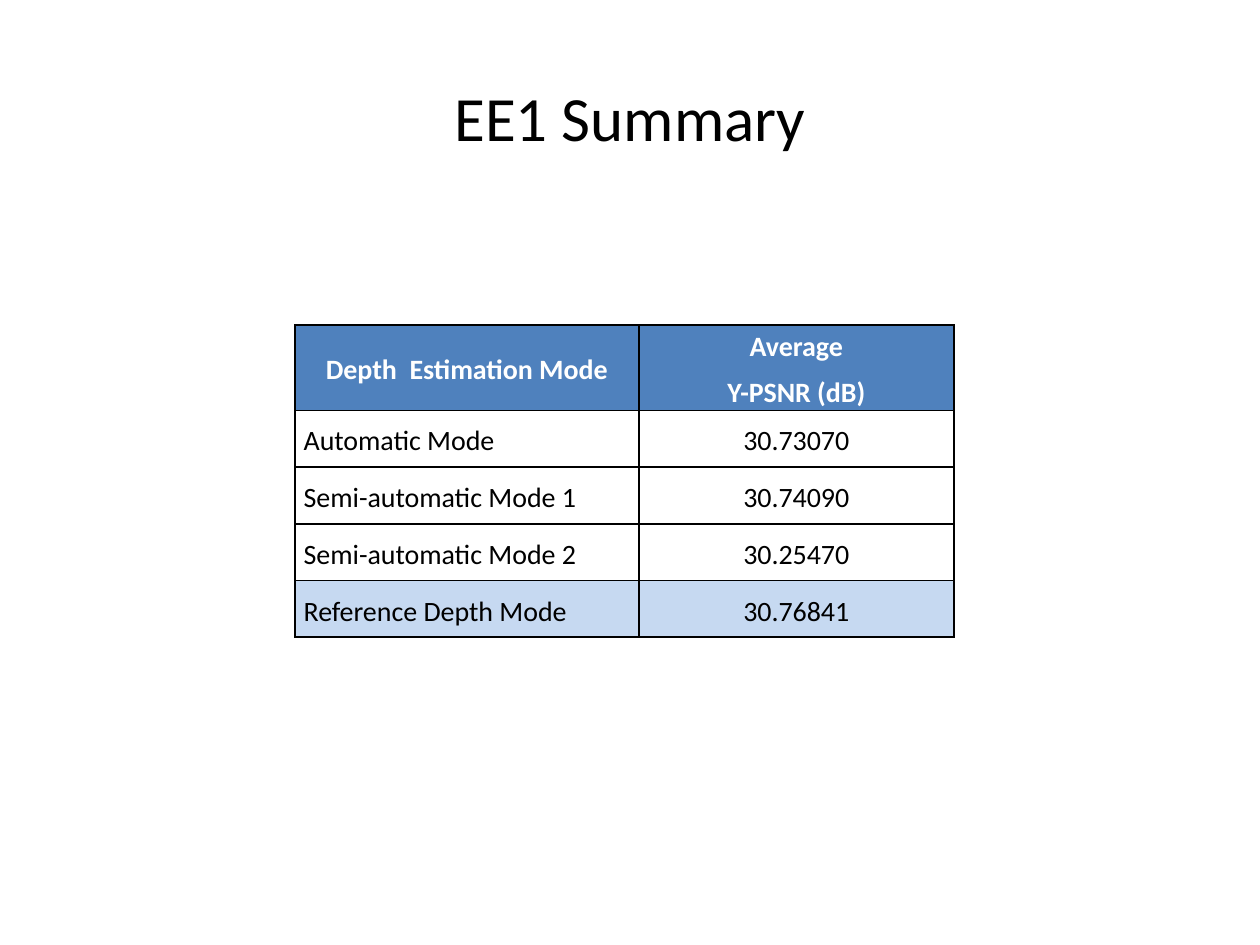
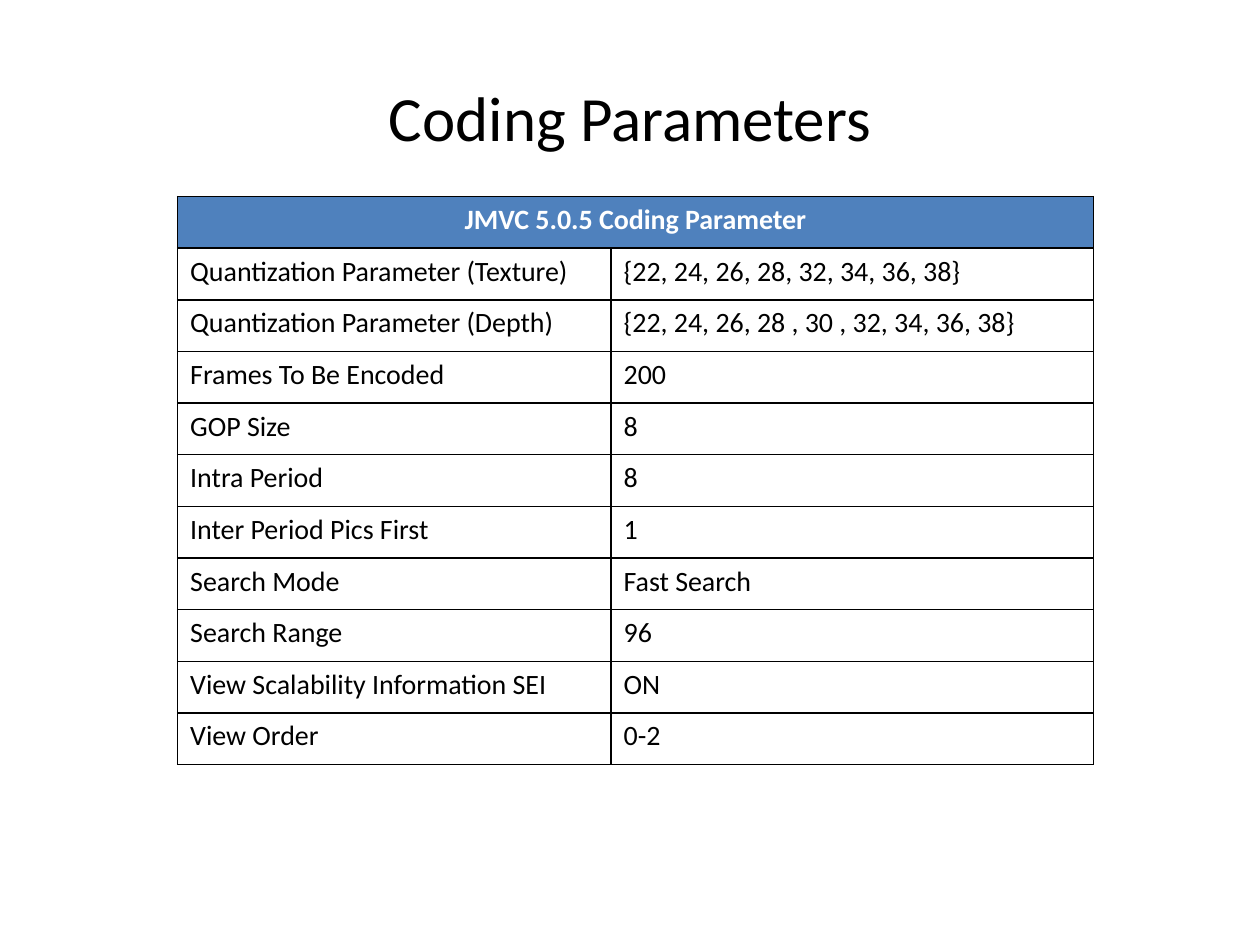
from lxml.etree import SubElement
from pptx import Presentation
from pptx.dml.color import RGBColor
from pptx.enum.text import MSO_ANCHOR, PP_ALIGN
from pptx.oxml.ns import qn
from pptx.util import Inches, Pt

BLACK, WHITE, BLUE, PALE_BLUE = "000000", "FFFFFF", "4F81BD", "C6D9F1"
TITLE_ONLY = 5


def color(value):
    """Turn a hex string into a colour."""
    return RGBColor.from_string(value)


def apply_format(target, values):
    """Set each attribute named in a dict of format values."""
    for name, value in values.items():
        setattr(target, name, value)


class DeckBuilder:
    """Holds the shared style and the current slide."""

    font = "Calibri"
    title_size = Pt(36)
    table_size = Pt(16)
    border_width = Pt(1)

    def __init__(self):
        """Start an empty deck of 10 by 7.5 inches."""
        self.deck = Presentation()
        apply_format(self.deck, {"slide_width": Inches(10), "slide_height": Inches(7.5)})
        self.slide = None

    def add_slide(self, title):
        """Add a slide with a centred title."""
        self.slide = self.deck.slides.add_slide(self.deck.slide_layouts[TITLE_ONLY])
        box = self.slide.shapes.title
        apply_format(box, {"left": Inches(0.5), "top": Inches(0.3),
                           "width": Inches(9), "height": Inches(1.25)})
        box.text_frame.vertical_anchor = MSO_ANCHOR.MIDDLE
        self.set_text(box.text_frame, title, {"alignment": PP_ALIGN.CENTER},
                      {"size": self.title_size, "bold": False}, BLACK)

    def set_text(self, frame, text, para_format, font_format, ink):
        """Fill a text frame, one paragraph for each line of text."""
        frame.text = text
        for para in frame.paragraphs:
            apply_format(para, para_format)
            for span in para.runs:
                apply_format(span.font, {"name": self.font, **font_format})
                span.font.color.rgb = color(ink)

    def draw_borders(self, cell):
        """Draw a black line on each side of a cell."""
        properties = cell._tc.get_or_add_tcPr()
        for position, side in enumerate(("lnL", "lnR", "lnT", "lnB")):
            line = properties.makeelement(qn(f"a:{side}"), {"w": str(self.border_width)})
            properties.insert(position, line)
            fill = SubElement(line, qn("a:solidFill"))
            SubElement(fill, qn("a:srgbClr"), val=BLACK)

    def add_table(self, rows, left, top, widths, row_height, fills=None,
                  alignments=(PP_ALIGN.LEFT, PP_ALIGN.LEFT),
                  cell_format=None, para_format=None):
        """Add a bordered table; fills maps a row number to its colour."""
        fills = {0: BLUE, **(fills or {})}
        table = self.slide.shapes.add_table(
            len(rows), len(widths), Inches(left), Inches(top),
            Inches(sum(widths)), Inches(row_height * len(rows))).table
        for column, width in zip(table.columns, widths):
            column.width = Inches(width)
        for row_number, (row, texts) in enumerate(zip(table.rows, rows)):
            row.height = Inches(row_height)
            header = row_number == 0
            for cell, text, alignment in zip(row.cells, texts, alignments):
                apply_format(cell, cell_format or {})
                cell.fill.solid()
                cell.fill.fore_color.rgb = color(fills.get(row_number, WHITE))
                self.draw_borders(cell)
                self.set_text(cell.text_frame, text,
                              {"alignment": PP_ALIGN.CENTER if header else alignment,
                               **(para_format or {})},
                              {"size": self.table_size, "bold": header},
                              WHITE if header else BLACK)
        return table


SUMMARY = [
    ("Depth  Estimation Mode", "Average\nY-PSNR (dB)"),
    ("Automatic Mode", "30.73070"),
    ("Semi-automatic Mode 1", "30.74090"),
    ("Semi-automatic Mode 2", "30.25470"),
    ("Reference Depth Mode", "30.76841"),
]

PARAMETERS = [
    ("JMVC 5.0.5 Coding Parameter", ""),
    ("Quantization Parameter (Texture)", "{22, 24, 26, 28, 32, 34, 36, 38}"),
    ("Quantization Parameter (Depth)", "{22, 24, 26, 28 , 30 , 32, 34, 36, 38}"),
    ("Frames To Be Encoded", "200"),
    ("GOP Size", "8"),
    ("Intra Period", "8"),
    ("Inter Period Pics First", "1"),
    ("Search Mode", "Fast Search"),
    ("Search Range", "96"),
    ("View Scalability Information SEI", "ON"),
    ("View Order", "0-2"),
]


def main():
    """Build both slides and save the deck."""
    builder = DeckBuilder()

    builder.add_slide("EE1 Summary")
    builder.add_table(
        SUMMARY, 2.34, 2.58, (2.73, 2.5), 0.45,
        fills={len(SUMMARY) - 1: PALE_BLUE},
        alignments=(PP_ALIGN.LEFT, PP_ALIGN.CENTER),
        cell_format={"vertical_anchor": MSO_ANCHOR.MIDDLE,
                     "margin_left": Inches(0.07), "margin_right": Inches(0.07),
                     "margin_top": 0, "margin_bottom": 0},
        para_format={"line_spacing": 1.15, "space_after": Pt(3.8)})

    builder.add_slide("Coding Parameters")
    table = builder.add_table(PARAMETERS, 1.41, 1.56, (3.44, 3.83), 0.41)
    table.cell(0, 0).merge(table.cell(0, 1))

    builder.deck.save("out.pptx")


main()
